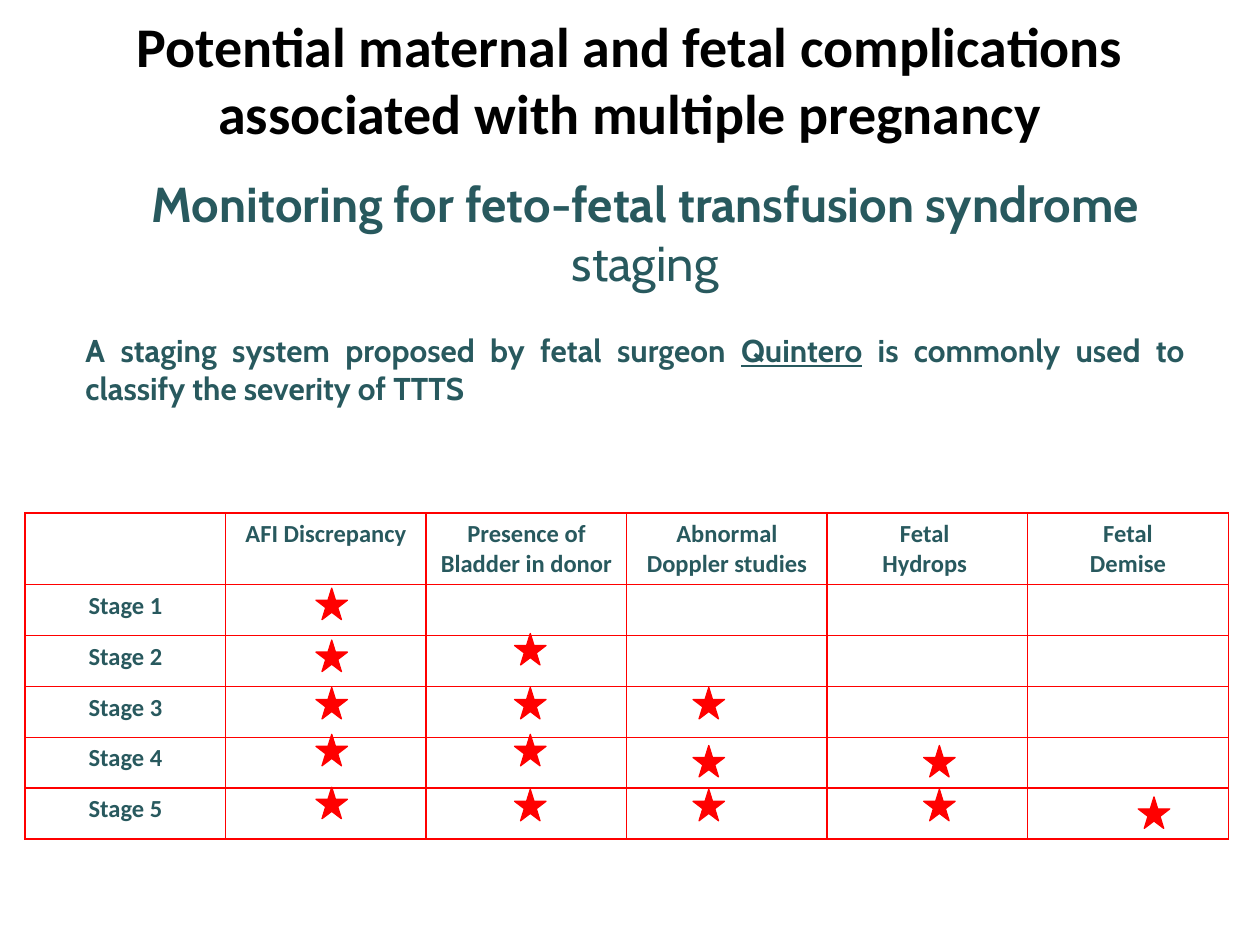
from lxml import etree
from pptx import Presentation
from pptx.dml.color import RGBColor
from pptx.enum.shapes import MSO_SHAPE
from pptx.enum.text import MSO_ANCHOR, MSO_AUTO_SIZE, PP_ALIGN
from pptx.oxml.ns import qn
from pptx.util import Inches, Pt

STAR = MSO_SHAPE.STAR_5_POINT
CENTER, JUSTIFY = PP_ALIGN.CENTER, PP_ALIGN.JUSTIFY
MIDDLE, TOP = MSO_ANCHOR.MIDDLE, MSO_ANCHOR.TOP
GROW, FIXED = MSO_AUTO_SIZE.SHAPE_TO_FIT_TEXT, MSO_AUTO_SIZE.NONE

SLIDE_WIDTH, SLIDE_HEIGHT = Inches(10), Inches(7.5)
COLORS = {"title": "000000", "text": "28595E", "accent": "FF0000"}

# Boxes are left, top, width, height in percent of the slide
TITLE_BOX = (5, 0, 90, 16.67)
SUBTITLE_BOX = (10.8, 17.73, 80.8, 13.87)
INTRO_BOX = (5.8, 34.4, 89.2, 9.47)
TABLE_BOX = (2, 54.27, 95.5, 34.53)

TITLE_FORMAT = {"name": "Calibri", "size": Pt(32), "bold": True}
SUBTITLE_FORMAT = {"name": "Cabin", "size": Pt(28), "bold": True}
INTRO_FORMAT = {"name": "Cabin", "size": Pt(18), "bold": True}
TABLE_FORMAT = {"name": "Calibri", "size": Pt(14), "bold": True}

HEADERS = [
    [],
    ["AFI Discrepancy"],
    ["Presence of Bladder in donor"],
    ["Abnormal Doppler studies"],
    ["Fetal ", "Hydrops "],
    ["Fetal", "Demise"],
]
HEADER_SHARE = 0.22  # of the table height
STAR_SIZE = Inches(0.25)
# Star offsets as shares of the column width and of the row height
STAR_LEFTS = [0.45, 0.44, 0.33, 0.48, 0.55]
STAR_TOPS = [
    [0.07],
    [0.09, -0.04],
    [0.02, 0.02, 0.02],
    [-0.06, -0.06, 0.16, 0.16],
    [-0.02, 0.02, 0.02, 0.02, 0.17],
]


def to_lengths(box):
    """Turn percentages of the slide into lengths."""
    sides = (SLIDE_WIDTH, SLIDE_HEIGHT) * 2
    return [round(side * percent / 100) for side, percent in zip(sides, box)]


def write_paragraphs(frame, paragraphs, font_format, color, alignment):
    """Write paragraphs, each a list of (text, format changes) runs."""
    for index, runs in enumerate(paragraphs):
        paragraph = frame.add_paragraph() if index else frame.paragraphs[0]
        paragraph.alignment = alignment
        for text, changes in runs:
            run = paragraph.add_run()
            run.text = text
            for name, value in {**font_format, **changes}.items():
                setattr(run.font, name, value)
            run.font.color.rgb = RGBColor.from_string(COLORS[color])


def add_text(slide, box, paragraphs, font_format, color="text",
             alignment=CENTER, anchor=TOP, auto_size=GROW):
    frame = slide.shapes.add_textbox(*to_lengths(box)).text_frame
    frame.word_wrap = True
    frame.auto_size = auto_size
    frame.vertical_anchor = anchor
    write_paragraphs(frame, paragraphs, font_format, color, alignment)


def set_borders(cell):
    properties = cell._tc.get_or_add_tcPr()
    for index, side in enumerate(("lnL", "lnR", "lnT", "lnB")):
        line = etree.Element(qn(f"a:{side}"), w=str(Pt(1)))
        fill = etree.SubElement(line, qn("a:solidFill"))
        etree.SubElement(fill, qn("a:srgbClr"), val=COLORS["accent"])
        properties.insert(index, line)


def add_staging_table(slide, box):
    left, top, width, height = to_lengths(box)
    stages = len(STAR_TOPS)
    header_height = round(height * HEADER_SHARE)
    row_height = (height - header_height) // stages
    column_width = width // len(HEADERS)
    table = slide.shapes.add_table(
        stages + 1, len(HEADERS), left, top, width, height).table
    table.first_row = table.horz_banding = False
    for column in table.columns:
        column.width = column_width
    for index, row in enumerate(table.rows):
        row.height = row_height if index else header_height
    for cell in table.iter_cells():
        cell.fill.background()
        set_borders(cell)

    stage_names = [[f"Stage {stage}"] for stage in range(1, stages + 1)]
    labels = [(table.cell(0, column), lines)
              for column, lines in enumerate(HEADERS)]
    labels += [(table.cell(row, 0), lines)
               for row, lines in enumerate(stage_names, 1)]
    for cell, lines in labels:
        write_paragraphs(cell.text_frame, [[(line, {})] for line in lines],
                         TABLE_FORMAT, "text", CENTER)
    add_stars(slide, left + column_width, top + header_height,
              column_width, row_height)


def add_stars(slide, left, top, column_width, row_height):
    """Mark the findings of each stage, one row per stage."""
    group = slide.shapes.add_group_shape()
    red = RGBColor.from_string(COLORS["accent"])
    for row, offsets in enumerate(STAR_TOPS):
        for column, offset in enumerate(offsets):
            star = group.shapes.add_shape(
                STAR,
                round(left + (column + STAR_LEFTS[column]) * column_width),
                round(top + (row + offset) * row_height),
                STAR_SIZE, STAR_SIZE)
            star.shadow.inherit = False
            star.fill.solid()
            star.fill.fore_color.rgb = red
            star.line.color.rgb = red
            star.line.width = Pt(0.75)


def main():
    presentation = Presentation()
    presentation.slide_width = SLIDE_WIDTH
    presentation.slide_height = SLIDE_HEIGHT
    slide = presentation.slides.add_slide(presentation.slide_layouts[6])

    add_text(slide, INTRO_BOX, [[
        ("A staging system proposed by fetal surgeon ", {}),
        ("Quintero", {"underline": True}),
        (" is commonly used to classify the severity of TTTS", {}),
    ]], INTRO_FORMAT, alignment=JUSTIFY)
    add_text(slide, SUBTITLE_BOX, [
        [("Monitoring for feto-fetal transfusion syndrome", {})],
        [("staging", {"bold": False})],
    ], SUBTITLE_FORMAT)
    add_staging_table(slide, TABLE_BOX)
    add_text(slide, TITLE_BOX, [[
        ("Potential maternal and fetal complications "
         "associated with multiple pregnancy", {}),
    ]], TITLE_FORMAT, color="title", anchor=MIDDLE, auto_size=FIXED)

    presentation.save("out.pptx")


if __name__ == "__main__":
    main()
